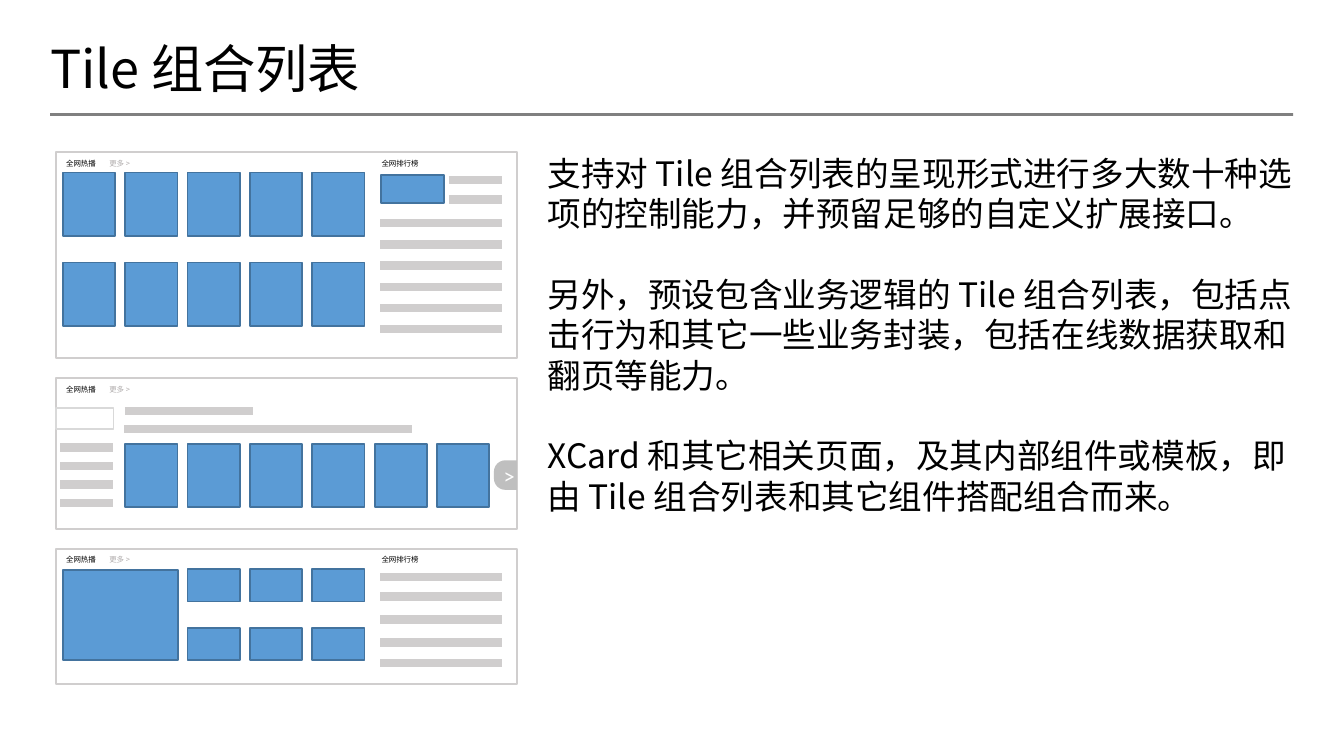
from dataclasses import dataclass
from itertools import product

from lxml.etree import SubElement
from pptx import Presentation
from pptx.dml.color import RGBColor
from pptx.enum.shapes import MSO_CONNECTOR, MSO_SHAPE
from pptx.enum.text import MSO_ANCHOR
from pptx.oxml.ns import qn
from pptx.shapes.shapetree import GroupShapes
from pptx.util import Emu, Inches, Pt

SLIDE_W = Inches(10)
SLIDE_H = Emu(SLIDE_W * 9 // 16)
GRID_COLUMNS = 100  # square cells, so rows are as tall as columns are wide
CELL = SLIDE_W / GRID_COLUMNS

TILE_LEFT, TILE_PITCH = 4.67, 4.64
TILE_W, TILE_H, SHORT_TILE_H = 3.9, 4.7, 2.4
RANK_LEFT, RANK_RIGHT = 28.3, 37.35


@dataclass(frozen=True)
class Theme:
    ink: str = "000000"
    muted: str = "AFABAB"
    paper: str = "FFFFFF"
    rule: str = "808080"
    tile: str = "5B9BD5"
    tile_edge: str = "43739E"
    placeholder: str = "D0CECE"
    input_edge: str = "D9D9D9"
    pager: str = "BFBFBF"
    font: str = "Noto Sans CJK SC"
    pager_font: str = "Calibri"
    title_size: float = 28
    body_size: float = 18
    body_line: float = 21.6
    pager_size: float = 12
    label_size: float = 4
    edge: float = 1
    bar: float = 4.5


THEME = Theme()


@dataclass(frozen=True)
class Box:
    """A rectangle in grid columns and rows."""
    left: float
    top: float
    width: float
    height: float

    def emu(self) -> tuple[Emu, ...]:
        return tuple(cells(n) for n in (self.left, self.top, self.width, self.height))


@dataclass(frozen=True)
class Bar:
    """A horizontal stand-in for a line of text."""
    left: float
    right: float
    y: float


@dataclass(frozen=True)
class Panel:
    top: float
    height: float
    tiles: list[Box]
    bars: list[Bar]
    ranked: bool = True


def cells(count: float) -> Emu:
    return Emu(round(count * CELL))


def tile(column: int, top: float, height: float = TILE_H) -> Box:
    return Box(TILE_LEFT + column * TILE_PITCH, top, TILE_W, height)


def rank_bars(*rows: float) -> list[Bar]:
    return [Bar(RANK_LEFT, RANK_RIGHT, y) for y in rows]


def draw_block(shapes: GroupShapes, box: Box, fill: str | None, edge: str | None = None,
               kind: MSO_SHAPE = MSO_SHAPE.RECTANGLE):
    block = shapes.add_shape(kind, *box.emu())
    block.shadow.inherit = False
    if fill:
        block.fill.solid()
        block.fill.fore_color.rgb = RGBColor.from_string(fill)
    else:
        block.fill.background()
    if edge:
        block.line.color.rgb = RGBColor.from_string(edge)
        block.line.width = Pt(THEME.edge)
    else:
        block.line.fill.background()
    return block


def draw_bar(shapes: GroupShapes, bar: Bar) -> None:
    y = cells(bar.y)
    line = shapes.add_connector(MSO_CONNECTOR.STRAIGHT, cells(bar.left), y, cells(bar.right), y)
    line.line.color.rgb = RGBColor.from_string(THEME.placeholder)
    line.line.width = Pt(THEME.bar)
    SubElement(line._element.spPr, qn("a:effectLst"))


def draw_text(shapes: GroupShapes, box: Box, text: str, size: float, color: str = THEME.ink,
              font: str = THEME.font, wrap: bool = True):
    frame = shapes.add_textbox(*box.emu()).text_frame
    frame.word_wrap = wrap
    frame.text = text
    for paragraph in frame.paragraphs:
        for run in paragraph.runs:
            run.font.size = Pt(size)
            run.font.color.rgb = RGBColor.from_string(color)
            run.font.name = font
            SubElement(run.font._element, qn("a:ea"), typeface=font)
    return frame


def draw_panel(shapes: GroupShapes, panel: Panel) -> None:
    draw_block(shapes, Box(4.2, panel.top, 34.3, panel.height), THEME.paper, THEME.placeholder)
    for box in panel.tiles:
        draw_block(shapes, box, THEME.tile, THEME.tile_edge)
    for bar in panel.bars:
        draw_bar(shapes, bar)
    labels = [("全网热播", 3.95, 4.3, THEME.ink), ("更多 >", 7.15, 3.9, THEME.muted)]
    if panel.ranked:
        labels.append(("全网排行榜", 27.4, 4.8, THEME.ink))
    for text, left, width, color in labels:
        draw_text(shapes, Box(left, panel.top, width, 1.7), text, THEME.label_size, color, wrap=False)


def draw_carousel_controls(shapes: GroupShapes) -> None:
    draw_block(shapes, Box(4.2, 30.35, 4.25, 1.6), None, THEME.input_edge)
    pager = draw_block(shapes, Box(36.5, 34.5, 2.2, 1.7), THEME.pager,
                       kind=MSO_SHAPE.ROUND_2_SAME_RECTANGLE)
    pager.adjustments[0] = 0.5
    pager.rotation = 270
    draw_text(shapes, Box(36.5, 33.9, 3.3, 3), ">", THEME.pager_size, THEME.paper, THEME.pager_font)


GALLERY = Panel(
    11.33, 15.3,
    [tile(column, top) for top, column in product((12.84, 19.54), range(5))]
    + [Box(28.35, 13, 4.7, 2.1)],
    [Bar(33.4, RANK_RIGHT, y) for y in (13.4, 14.85)]
    + rank_bars(*(16.6 + 1.58 * row for row in range(6))),
)
CAROUSEL = Panel(
    28.14, 11.2,
    [tile(column, 33.04) for column in range(1, 7)],
    [Bar(4.5, 8.4, 33.3 + 1.37 * row) for row in range(4)]
    + [Bar(9.3, 18.8, 30.6), Bar(9.25, 30.65, 31.93)],
    ranked=False,
)
FEATURE = Panel(
    40.83, 10.1,
    [Box(TILE_LEFT, 42.38, 8.6, 6.75)]
    + [tile(column, top, SHORT_TILE_H) for top, column in product((42.36, 46.72), range(2, 5))],
    rank_bars(42.92, 44.4, 46.1, 47.8, 49.33),
)

BODY = (
    "支持对 Tile 组合列表的呈现形式进行多大数十种选项的控制能力，并预留足够的自定义扩展接口。",
    "另外，预设包含业务逻辑的 Tile 组合列表，包括点击行为和其它一些业务封装，包括在线数据获取和翻页等能力。",
    "XCard 和其它相关页面，及其内部组件或模板，即由 Tile 组合列表和其它组件搭配组合而来。",
)


def main() -> None:
    deck = Presentation()
    deck.slide_width, deck.slide_height = SLIDE_W, SLIDE_H
    slide = deck.slides.add_slide(deck.slide_layouts[6])

    draw_block(slide.shapes, Box(3.72, 8.42, 92.5, 0.2), THEME.rule)
    title = draw_text(slide.shapes, Box(2.75, 2.36, 92.1, 5.4), "Tile 组合列表", THEME.title_size)
    title.vertical_anchor = MSO_ANCHOR.MIDDLE

    for panel in (GALLERY, FEATURE, CAROUSEL):
        group = slide.shapes.add_group_shape()
        draw_panel(group.shapes, panel)
        if panel is CAROUSEL:
            draw_carousel_controls(group.shapes)

    body = draw_text(slide.shapes, Box(39.75, 10.9, 57.5, 28.3), "\n".join(BODY), THEME.body_size)
    for paragraph in body.paragraphs:
        paragraph.line_spacing = Pt(THEME.body_line)
    for paragraph in body.paragraphs[:-1]:
        paragraph.space_after = Pt(THEME.body_line)

    deck.save("out.pptx")


if __name__ == "__main__":
    main()
